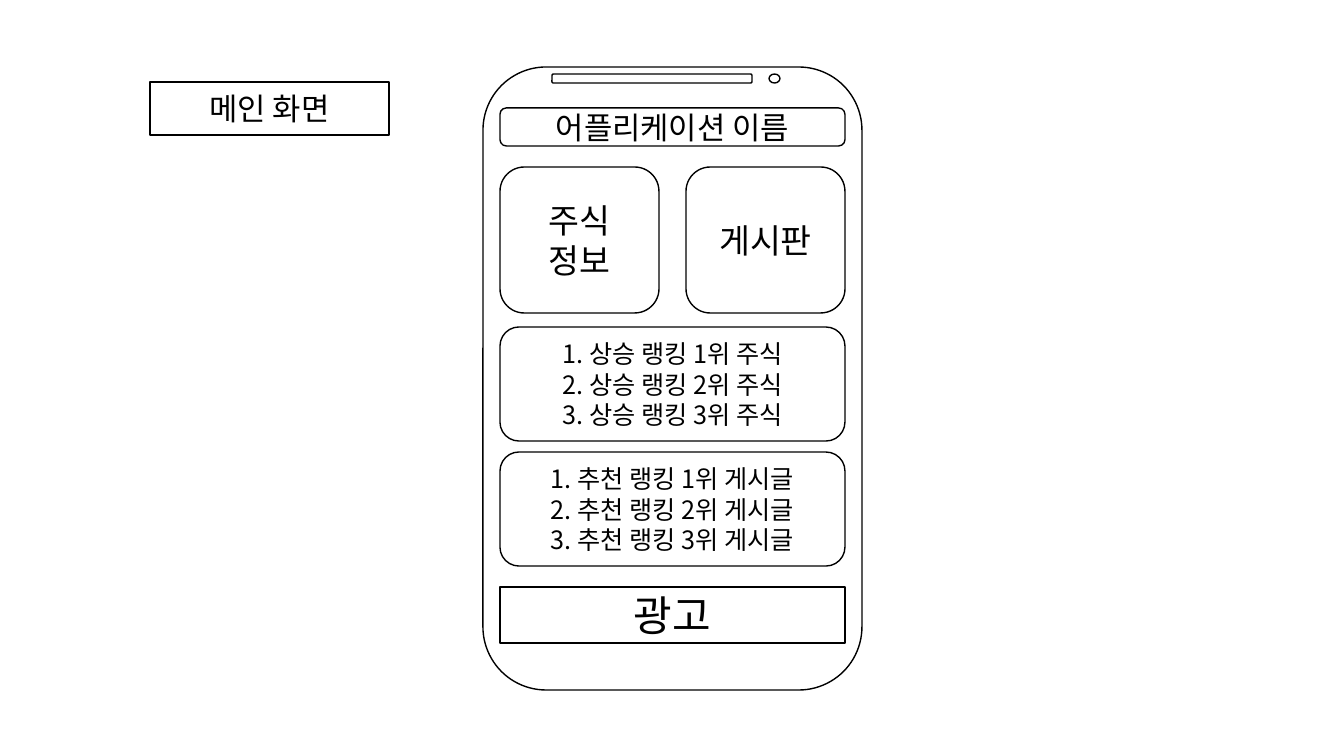
from pptx import Presentation
from pptx.dml.color import RGBColor
from pptx.enum.shapes import MSO_SHAPE
from pptx.enum.text import MSO_ANCHOR, PP_ALIGN
from pptx.util import Emu, Pt
from lxml.etree import SubElement
from pptx.oxml.ns import qn

EMU_PER_PIXEL = 914400 / 100.8
BLACK = RGBColor(0, 0, 0)
WHITE = RGBColor(255, 255, 255)
FONT = "Noto Sans CJK KR"
RECT = MSO_SHAPE.RECTANGLE
ROUNDED = MSO_SHAPE.ROUNDED_RECTANGLE


def px(pixels):
    return Emu(round(pixels * EMU_PER_PIXEL))


def add_outline(slide, kind, left, top, width, height, text="", size=18):
    outline = slide.shapes.add_shape(kind, px(left), px(top), px(width), px(height))
    outline.shadow.inherit = False
    outline.fill.solid()
    outline.fill.fore_color.rgb = WHITE
    outline.line.color.rgb = BLACK
    outline.line.width = Pt(1)
    if not text:
        return
    frame = outline.text_frame
    frame.text = text
    frame.word_wrap = True
    frame.vertical_anchor = MSO_ANCHOR.MIDDLE
    for paragraph in frame.paragraphs:
        paragraph.alignment = PP_ALIGN.CENTER
        for run in paragraph.runs:
            run.font.size = Pt(size)
            run.font.name = FONT
            run.font.color.rgb = BLACK
            SubElement(run.font._element, qn("a:ea"), typeface=FONT)


def add_screen_label(slide, left, top, width, height):
    add_outline(slide, RECT, left, top, width, height, "메인 화면", 22)


def add_phone(slide, left, top, width, height):
    margin = 17
    inner_left = left + margin
    inner_width = width - 2 * margin

    add_outline(slide, ROUNDED, left, top, width, height)
    add_outline(slide, ROUNDED, left + 69, top + 7, 200, 9)
    add_outline(slide, MSO_SHAPE.OVAL, left + 286, top + 7, 11, 9)
    add_outline(slide, ROUNDED, inner_left, top + 41, inner_width, 38, "어플리케이션 이름", 22)

    button_width = 159
    button_step = inner_width - button_width
    for column, button in enumerate(("주식\n정보", "게시판")):
        add_outline(slide, ROUNDED, inner_left + column * button_step, top + 100,
                    button_width, 146, button, 24)

    for row, (basis, item) in enumerate((("상승", "주식"), ("추천", "게시글"))):
        ranking = "\n".join(f"{rank}. {basis} 랭킹 {rank}위 {item}" for rank in range(1, 4))
        add_outline(slide, ROUNDED, inner_left, top + 260 + row * 125,
                    inner_width, 114, ranking, 18)

    add_outline(slide, RECT, inner_left, top + 520, inner_width, 56, "광고", 30)


presentation = Presentation()
presentation.slide_width = px(1344)
presentation.slide_height = px(756)
main_slide = presentation.slides.add_slide(presentation.slide_layouts[6])
add_screen_label(main_slide, 150, 82, 239, 53)
add_phone(main_slide, 483, 67, 379, 623)
presentation.save("out.pptx")
